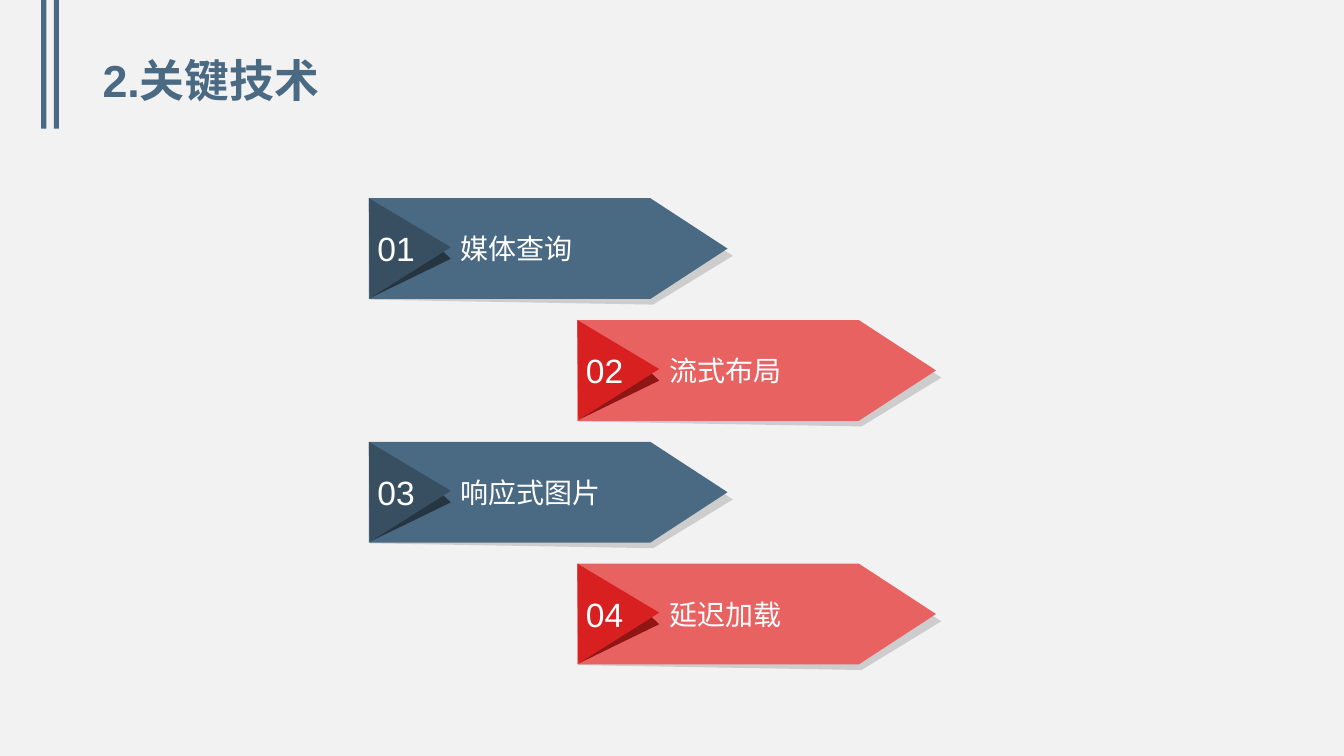
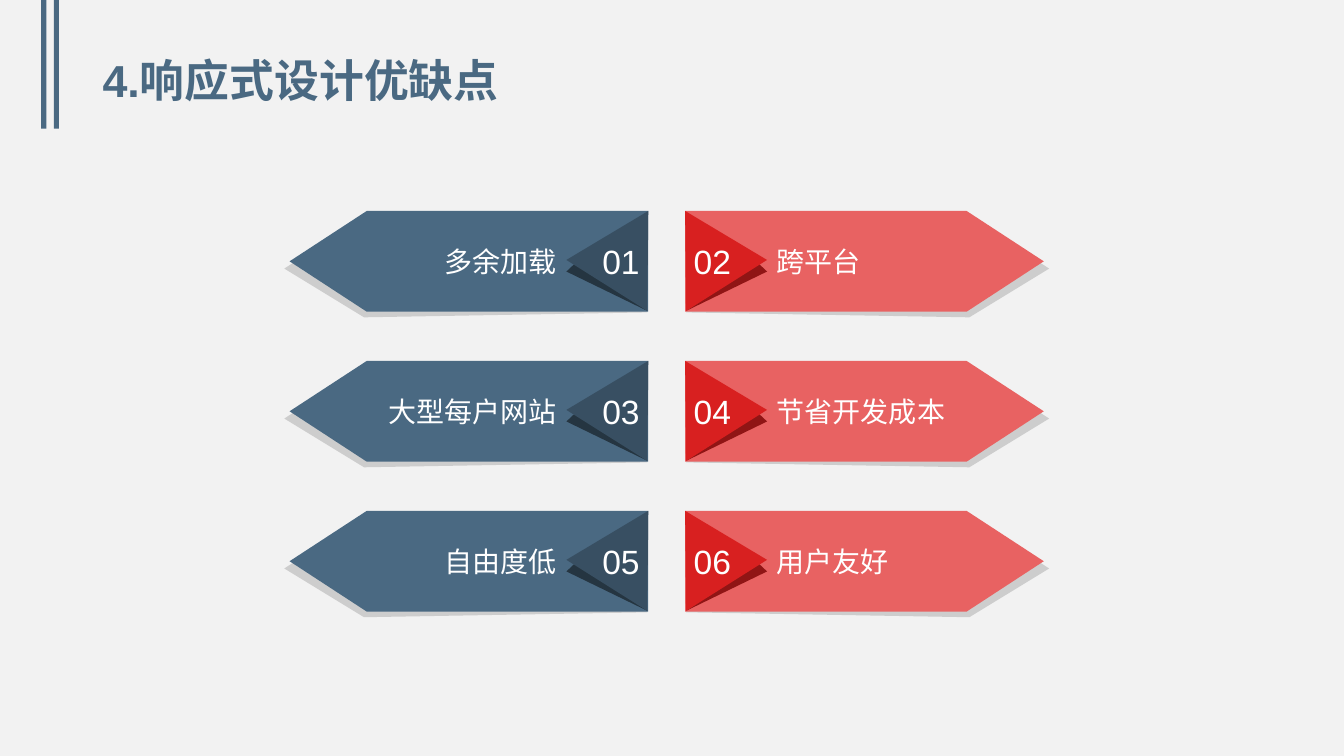
from pptx import Presentation
from pptx.dml.color import RGBColor
from pptx.enum import shapes, text
from pptx.util import Pt

FONT = "Arial"
PAPER, SHADE, WHITE = "F2F2F2", "CDCDCD", "FFFFFF"
BLUE = {"arrow": "4A6982", "fold": "253541", "badge": "384F62"}
RED = {"arrow": "E86262", "fold": "901515", "badge": "D82020"}
ARROW_W, ARROW_H = 256.2, 72
SHADE_OUTLINE = [(2, 4), (203, 4), (260, 41.2), (203, 76), (0.7, 72.5)]
FOLD_OUTLINE = [(51.5, 36.7), (58.5, 43.3), (0.7, 71.4)]
BADGE_OUTLINE = [(0, 0), (58.5, 35), (0.7, 71.4)]


def colour(hex_string):
    """Turn a hex string into a colour."""
    return RGBColor.from_string(hex_string)


def paint(shape, fill):
    """Give a shape a flat fill without line or shadow."""
    shape.shadow.inherit = False
    shape.fill.solid()
    shape.fill.fore_color.rgb = colour(fill)
    shape.line.fill.background()
    return shape


def write(shape, words, size, ink, align, margins=None, bold=False):
    """Write one line of text, centred vertically in a shape."""
    frame = shape.text_frame
    frame.word_wrap = True
    frame.vertical_anchor = text.MSO_ANCHOR.MIDDLE
    if margins:
        frame.margin_left, frame.margin_right = map(Pt, margins)
        frame.margin_top = frame.margin_bottom = 0
    line = frame.paragraphs[0]
    line.alignment = align
    run = line.add_run()
    run.text = words
    run.font.name, run.font.size, run.font.bold = FONT, Pt(size), bold
    run.font.color.rgb = colour(ink)
    return line


def outline(parts, left, top, points, fill, mirrored):
    """Draw a closed polygon whose points are relative to the arrow box."""
    placed = [(Pt(left + (ARROW_W - x if mirrored else x)), Pt(top + y)) for x, y in points]
    builder = parts.build_freeform(*placed[0], scale=1.0)
    builder.add_line_segments(placed[1:], close=True)
    return paint(builder.convert_to_shape(), fill)


def arrow_tag(slide, left, top, number, label, tones, mirrored=False):
    """Draw a numbered arrow with its folded corner and shade."""
    parts = slide.shapes.add_group_shape().shapes
    order = -1 if mirrored else 1
    outline(parts, left, top, SHADE_OUTLINE, SHADE, mirrored)

    arrow = parts.add_shape(shapes.MSO_SHAPE.PENTAGON, Pt(left), Pt(top), Pt(ARROW_W), Pt(ARROW_H))
    arrow.adjustments[0] = 0.766
    paint(arrow, tones["arrow"])
    if mirrored:
        arrow._element.spPr.xfrm.set("flipH", "1")
    side = text.PP_ALIGN.RIGHT if mirrored else text.PP_ALIGN.LEFT
    write(arrow, label, 20, WHITE, side, (65.5, 0)[::order])

    outline(parts, left, top, FOLD_OUTLINE, tones["fold"], mirrored)
    badge = outline(parts, left, top, BADGE_OUTLINE, tones["badge"], mirrored)
    write(badge, f"{number:02d}", 24, WHITE, text.PP_ALIGN.CENTER, (3, 22.5)[::order])


def titled_slide(deck, heading):
    """Add a slide with the two hanging bars and a heading."""
    slide = deck.slides.add_slide(deck.slide_layouts[6])
    slide.background.fill.solid()
    slide.background.fill.fore_color.rgb = colour(PAPER)
    for left in (29.4, 38.4):
        bar = slide.shapes.add_shape(shapes.MSO_SHAPE.RECTANGLE, Pt(left), 0, Pt(3.7), Pt(92))
        paint(bar, BLUE["arrow"])
    title = slide.shapes.add_textbox(Pt(66.2), Pt(31), Pt(828), Pt(57))
    line = write(title, heading, 32, BLUE["arrow"], text.PP_ALIGN.LEFT, bold=True)
    line.line_spacing = 0.9
    return slide


def staggered_slide(deck, heading, labels, lefts, top, pitch):
    """Step the arrows down the slide, alternating between two columns."""
    slide = titled_slide(deck, heading)
    for row, label in enumerate(labels):
        column = row % 2
        arrow_tag(slide, lefts[column], top + row * pitch, row + 1, label, (BLUE, RED)[column])


def opposed_slide(deck, heading, pairs, lefts, top, pitch):
    """Set pairs of arrows back to back, drawbacks left and benefits right."""
    slide = titled_slide(deck, heading)
    for row, (drawback, benefit) in enumerate(pairs):
        y = top + row * pitch
        arrow_tag(slide, lefts[0], y, 2 * row + 1, drawback, BLUE, mirrored=True)
        arrow_tag(slide, lefts[1], y, 2 * row + 2, benefit, RED)


deck = Presentation()
deck.slide_width, deck.slide_height = Pt(960), Pt(540)
staggered_slide(deck, "2.关键技术", ["媒体查询", "流式布局", "响应式图片", "延迟加载"],
                (263.5, 412.4), 141.6, 87)
opposed_slide(deck, "4.响应式设计优缺点",
              [("多余加载", "跨平台"), ("大型每户网站", "节省开发成本"), ("自由度低", "用户友好")],
              (206.9, 489.4), 150.7, 107.1)
deck.save("out.pptx")
